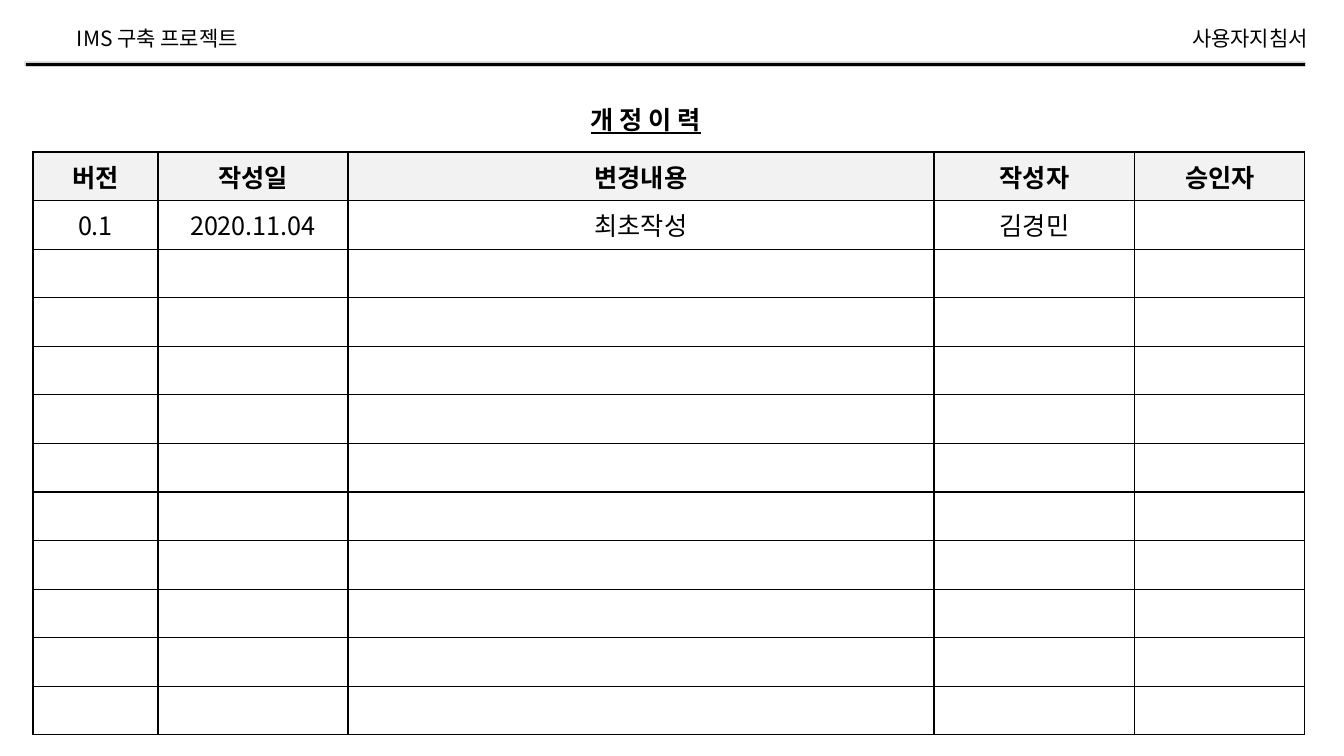
from lxml.etree import SubElement as Sub
from pptx import Presentation
from pptx.dml.color import RGBColor as RGB
from pptx.enum.shapes import MSO_SHAPE as Shape
from pptx.enum.text import MSO_ANCHOR as Anchor, MSO_AUTO_SIZE as Auto, PP_ALIGN as Align
from pptx.oxml.ns import qn
from pptx.util import Emu, Pt

BLACK = RGB(0x00, 0x00, 0x00)
WHITE = RGB(0xFF, 0xFF, 0xFF)
GREY = RGB(0xF2, 0xF2, 0xF2)
SILVER = RGB(0xD0, 0xCE, 0xCE)
SCALE = 914400 / 100.8


def px(*nums):
    return [Emu(round(num * SCALE)) for num in nums]


class Page:
    font = "Noto Sans CJK KR"

    def __init__(self, deck):
        self.slide = deck.slides.add_slide(deck.slide_layouts[6])
        self.shapes = self.slide.shapes

    def words(self, frame, text, align, **look):
        para = frame.paragraphs[0]
        para.alignment = align
        run = para.add_run()
        run.text = text
        for key, val in {"name": self.font, **look}.items():
            setattr(run.font, key, val)
        run.font.color.rgb = BLACK
        Sub(run.font._element, qn("a:ea"), typeface=self.font)

    def label(self, box, text, align=Align.LEFT, wrap=False, **look):
        frame = self.shapes.add_textbox(*px(*box)).text_frame
        frame.word_wrap = wrap
        frame.auto_size = Auto.SHAPE_TO_FIT_TEXT
        self.words(frame, text, align, **look)

    def bar(self, box, fill, edge, width):
        bar = self.shapes.add_shape(Shape.RECTANGLE, *px(*box))
        bar.shadow.inherit = False
        bar.fill.solid()
        bar.fill.fore_color.rgb = fill
        bar.line.color.rgb = edge
        bar.line.width = Pt(width)

    def border(self, cell):
        props = cell._tc.get_or_add_tcPr()
        for side in "LRTB":
            line = Sub(props, qn(f"a:ln{side}"), w=str(Pt(1)))
            fill = Sub(line, qn("a:solidFill"))
            Sub(fill, qn("a:srgbClr"), val=str(BLACK))

    def table(self, box, rows, widths, data):
        table = self.shapes.add_table(rows, len(widths), *px(*box)).table
        for col, width in zip(table.columns, px(*widths)):
            col.width = width
        for row in range(rows):
            for col in range(len(widths)):
                cell = table.cell(row, col)
                cell.vertical_anchor = Anchor.MIDDLE
                self.border(cell)
                cell.fill.solid()
                cell.fill.fore_color.rgb = WHITE if row else GREY
                if row < len(data) and col < len(data[row]):
                    self.words(cell.text_frame, data[row][col], Align.CENTER,
                               size=Pt(18), bold=row == 0)


deck = Presentation()
deck.slide_width, deck.slide_height = px(1344, 756)
page = Page(deck)

page.bar((25, 62, 1280, 4), BLACK, SILVER, 0.3)
page.label((49, 21, 199, 35), "IMS 구축 프로젝트", Align.RIGHT, size=Pt(15))
page.label((581, 99, 168, 40), "개 정 이 력", wrap=True,
           size=Pt(18), bold=True, underline=True)
page.table((33, 152, 1272, 583), 12, (125, 190, 586, 201, 170), [
    ["버전", "작성일", "변경내용", "작성자", "승인자"],
    ["0.1", "2020.11.04", "최초작성", "김경민"],
])
page.label((1171, 21, 147, 35), "사용자지침서", Align.RIGHT, size=Pt(15))

deck.save("out.pptx")
